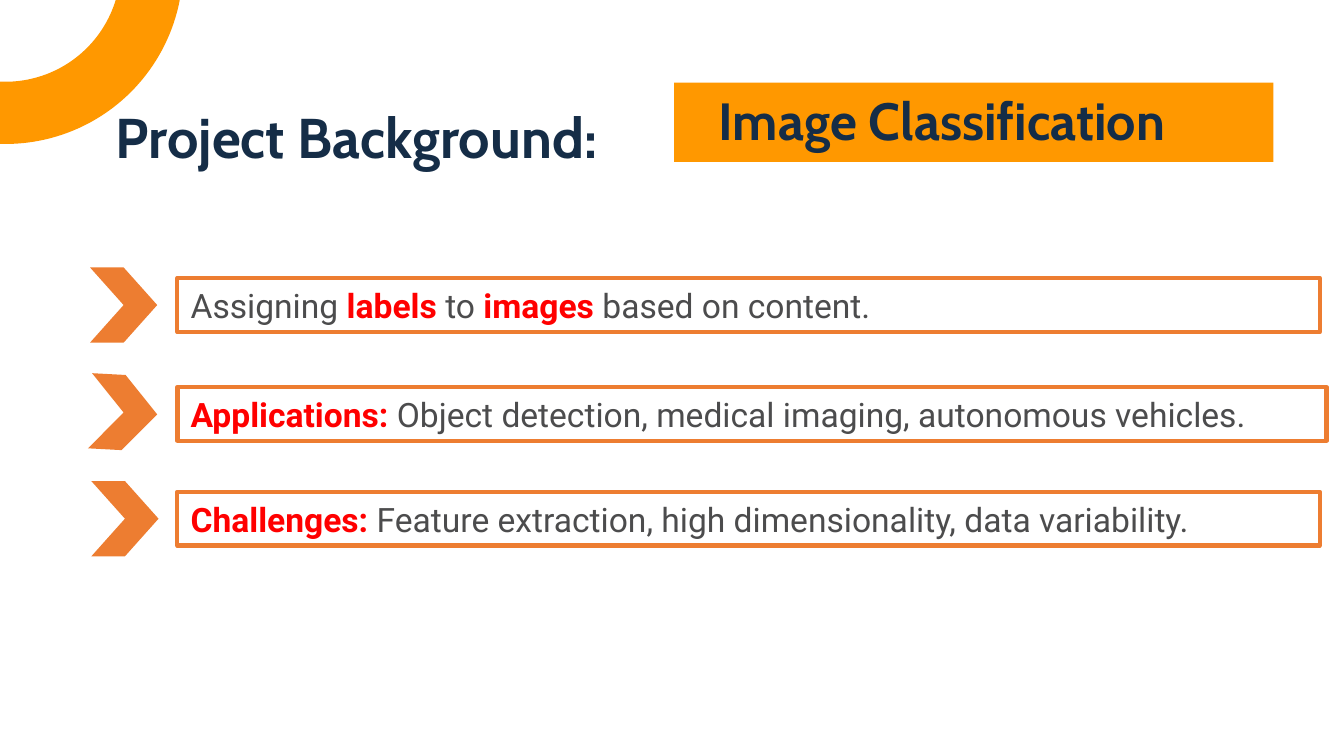
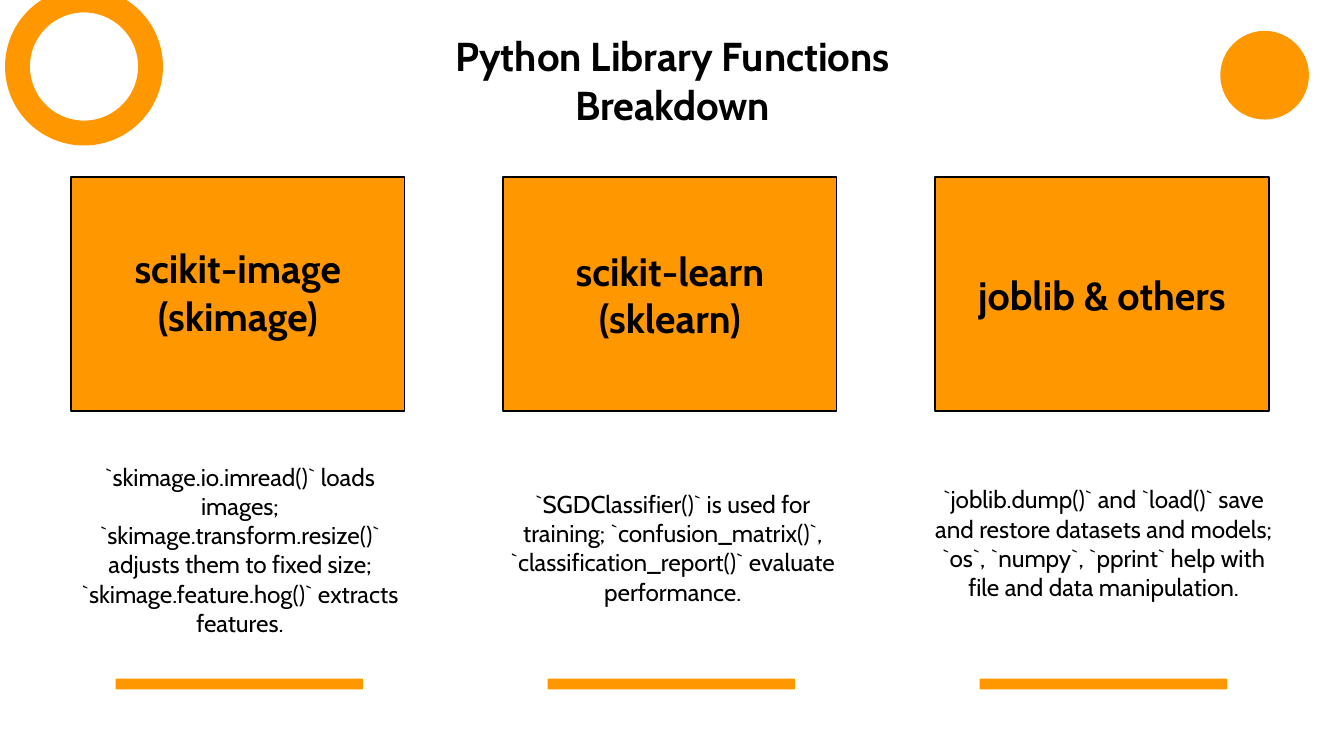
from pptx import Presentation
from pptx import util as u
from pptx.dml import color
from pptx.enum import shapes, text

COLORS = {
    "amber": "FF9800",
    "orange": "ED7D31",
    "navy": "152D47",
    "red": "FF0000",
    "gray": "4C4C4D",
    "black": "000000",
}
KINDS = shapes.MSO_SHAPE
ANCHORS = text.MSO_ANCHOR
ALIGNS = text.PP_ALIGN
NO_INSETS = {f"margin_{side}": 0 for side in ("left", "top", "right", "bottom")}

BANNER = {"size": u.Pt(28), "name": "Cabin", "bold": True, "color": "navy"}
HEADLINE = {**BANNER, "size": u.Pt(30)}
TITLE = {"size": u.Pt(21.6), "name": "Cabin", "bold": True, "color": "black"}
CARD_HEAD = {**TITLE, "size": u.Pt(21.2)}
CARD_BODY = {"size": u.Pt(13), "name": "Cabin", "bold": False, "color": "black"}
PLAIN = {"size": u.Pt(18), "name": "Roboto", "bold": False, "color": "gray"}
STRONG = {**PLAIN, "bold": True, "color": "red"}
CENTERED = {"alignment": ALIGNS.CENTER}
LEFT = {"alignment": ALIGNS.LEFT}

POINTS = [
    (0.67, 1.99, 0, 2.07, 8.5, [("Assigning ", PLAIN), ("labels", STRONG), (" to ", PLAIN),
                                ("images", STRONG), (" based on content.", PLAIN)]),
    (0.67, 2.79, 3.1, 2.88, 8.55,
     [("Applications:", STRONG),
      (" Object detection, medical imaging, autonomous vehicles.", PLAIN)]),
    (0.68, 3.58, 0, 3.66, 8.5,
     [("Challenges:", STRONG),
      (" Feature extraction, high dimensionality, data variability.", PLAIN)]),
]

LIBRARIES = [
    ("scikit-image (skimage)", 1.84, (0.41, 3.33, 2.75, 1.52),
     "`skimage.io.imread()` loads images; `skimage.transform.resize()` adjusts them "
     "to fixed size; `skimage.feature.hog()` extracts features."),
    ("scikit-learn (sklearn)", 1.86, (3.59, 3.35, 2.83, 1.45),
     "`SGDClassifier()` is used for training; `confusion_matrix()`, "
     "`classification_report()` evaluate performance."),
    ("joblib & others", 1.86, (6.79, 3.32, 2.84, 1.44),
     "`joblib.dump()` and `load()` save and restore datasets and models; "
     "`os`, `numpy`, `pprint` help with file and data manipulation."),
]
FIRST_CARD, LAST_CARD = 0.53, 6.96
CARD_STEP = (LAST_CARD - FIRST_CARD) / (len(LIBRARIES) - 1)


def apply(target, values):
    for name, value in values.items():
        setattr(target, name, value)


def rgb(name):
    return color.RGBColor.from_string(COLORS[name])


def write(shape, spans, anchor=ANCHORS.TOP, frame_format=None, para_format=LEFT):
    frame = shape.text_frame
    apply(frame, {"word_wrap": True, "auto_size": text.MSO_AUTO_SIZE.NONE,
                  "vertical_anchor": anchor, **(frame_format or {})})
    para = frame.paragraphs[0]
    apply(para, para_format)
    for words, style in spans:
        span = para.add_run()
        span.text = words
        apply(span.font, {key: value for key, value in style.items() if key != "color"})
        span.font.color.rgb = rgb(style["color"])


def add_shape(page, kind, at, fill=None, line=None, weight=1, rotation=0):
    shape = page.shapes.add_shape(kind, *map(u.Inches, at))
    shape.shadow.inherit = False
    shape.rotation = rotation
    if fill:
        shape.fill.solid()
        shape.fill.fore_color.rgb = rgb(fill)
    else:
        shape.fill.background()
    if line:
        shape.line.color.rgb = rgb(line)
        shape.line.width = u.Pt(weight)
    else:
        shape.line.fill.background()
    return shape


def add_text(page, at, spans, **options):
    box = page.shapes.add_textbox(*map(u.Inches, at))
    write(box, spans, **options)


def add_title(page, at, spans, **options):
    title = page.shapes.title
    apply(title, dict(zip(("left", "top", "width", "height"), map(u.Inches, at))))
    write(title, spans, **options)


def add_page(deck):
    return deck.slides.add_slide(deck.slide_layouts[5])


def add_point(page, chevron_left, chevron_top, rotation, box_top, width, spans):
    add_shape(page, KINDS.CHEVRON, (chevron_left, chevron_top, 0.5, 0.56), "orange",
              rotation=rotation)
    box = add_shape(page, KINDS.RECTANGLE, (1.32, box_top, width, 0.4),
                    line="orange", weight=2.25)
    write(box, spans)


def add_library(page, left, head, head_top, body_at, body):
    add_shape(page, KINDS.RECTANGLE, (left, 1.32, 2.48, 1.74), "amber", "black")
    add_text(page, (left + 0.11, head_top, 2.26, 0.66), [(head, CARD_HEAD)],
             anchor=ANCHORS.MIDDLE, para_format=CENTERED)
    add_text(page, body_at, [(body, CARD_BODY)], anchor=ANCHORS.MIDDLE, para_format=CENTERED)
    add_shape(page, KINDS.RECTANGLE, (left + 0.33, 5.05, 1.84, 0.08), "amber")


def build_background(deck):
    page = add_page(deck)
    add_shape(page, KINDS.OVAL, (-1.05, -1.34, 2.18, 2.18), line="amber", weight=33.33)
    add_title(page, (0.86, 0.49, 3.77, 0.78), [("Project Background:", HEADLINE)],
              frame_format=NO_INSETS, para_format={**LEFT, "line_spacing": u.Pt(55.5)})
    add_shape(page, KINDS.RECTANGLE, (6.95, -1.32, 0.59, 4.46), "amber", rotation=90)
    add_text(page, (5.25, 0.61, 4.24, 1.04), [("Image Classification", BANNER)])
    for point in POINTS:
        add_point(page, *point)


def build_libraries(deck):
    page = add_page(deck)
    add_shape(page, KINDS.OVAL, (0.13, 0, 0.99, 0.99), line="amber", weight=13.33)
    add_title(page, (2.66, 0.3, 4.69, 0.59), [("Python Library Functions Breakdown", TITLE)],
              anchor=ANCHORS.MIDDLE, para_format=CENTERED)
    add_shape(page, KINDS.OVAL, (9.08, 0.23, 0.66, 0.66), "amber")
    for index, library in enumerate(LIBRARIES):
        add_library(page, FIRST_CARD + index * CARD_STEP, *library)


def main():
    deck = Presentation()
    width = u.Inches(10)
    apply(deck, {"slide_width": width, "slide_height": width * 9 // 16})
    build_background(deck)
    build_libraries(deck)
    deck.save("out.pptx")


if __name__ == "__main__":
    main()
